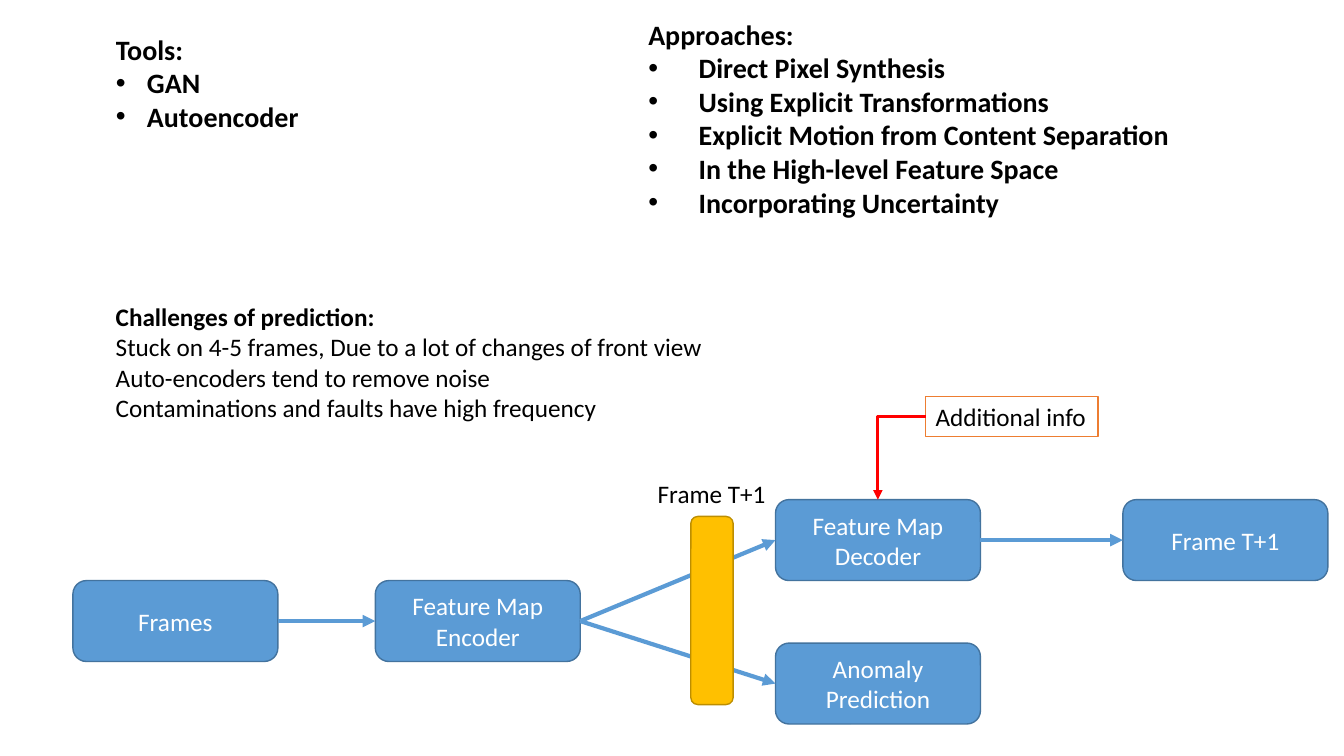
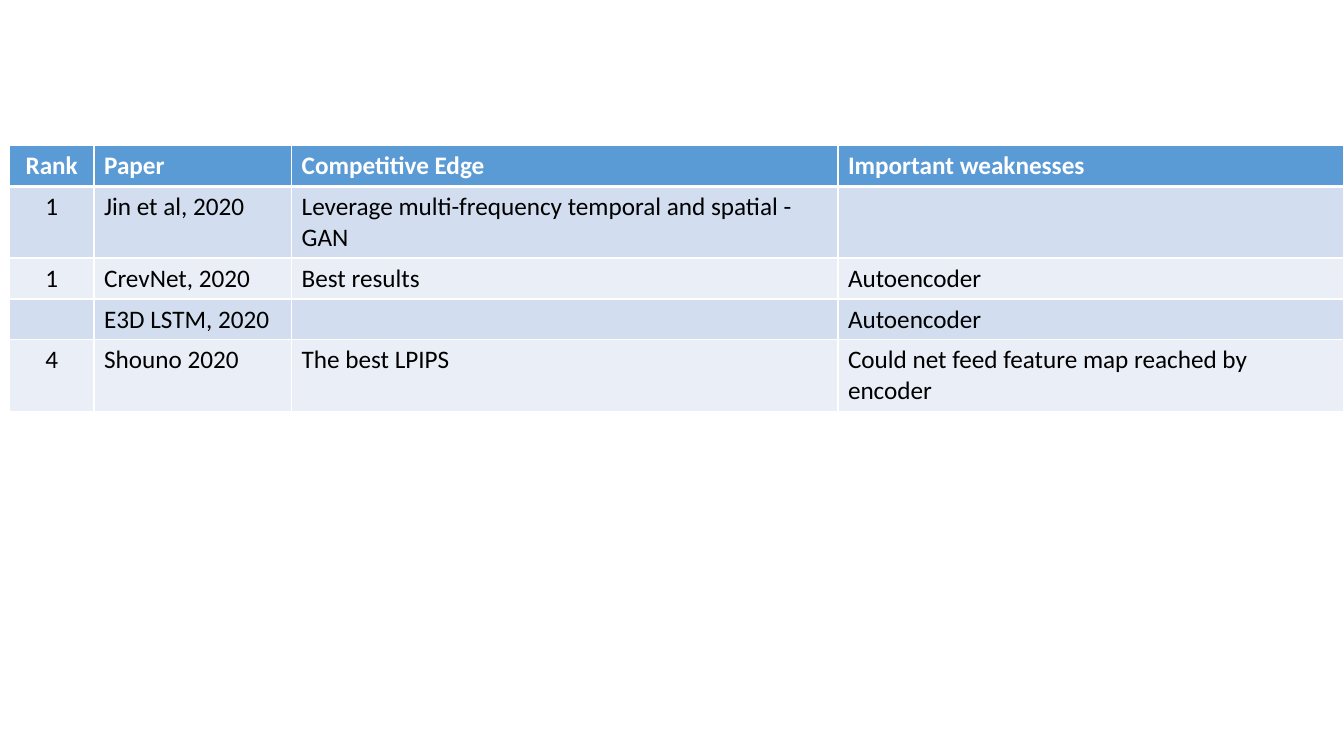
"""Build two slides on frame prediction: a model diagram and a table of papers."""
from dataclasses import dataclass

from lxml.etree import SubElement
from pptx import Presentation
from pptx.dml.color import RGBColor
from pptx.enum.shapes import MSO_CONNECTOR, MSO_SHAPE
from pptx.enum.text import MSO_ANCHOR, PP_ALIGN
from pptx.oxml.ns import qn
from pptx.util import Emu, Inches, Pt

COLS, ROWS = 40, 22.5
TOP, LEFT, RIGHT = 0, 1, 3


@dataclass(frozen=True)
class Theme:
    font: str = "Calibri"
    large: int = 20
    body: int = 18
    ink: str = "000000"
    paper: str = "FFFFFF"
    blue: str = "5B9BD5"
    blue_edge: str = "43739E"
    gold: str = "FFC000"
    gold_edge: str = "BD8E00"
    orange: str = "ED7D31"
    red: str = "FF0000"
    bands: tuple = ("D2DEEF", "EAEFF7")
    edge: float = 1
    link: float = 3
    bend: float = 2.25


class Deck:
    def __init__(self, theme):
        self.t = theme
        self.prs = Presentation()
        self.prs.slide_width, self.prs.slide_height = Inches(13.333), Inches(7.5)
        self.s = None

    def slide(self):
        self.s = self.prs.slides.add_slide(self.prs.slide_layouts[6])

    def grid(self, x, y, w, h):
        dx, dy = self.prs.slide_width / COLS, self.prs.slide_height / ROWS
        return [Emu(round(n * d)) for n, d in zip((x, y, w, h), (dx, dy, dx, dy))]

    def run(self, p, text, size=None, color=None, bold=False, align=None):
        r = p.add_run()
        r.text = text
        p.alignment = align
        fmt = {"name": self.t.font, "size": Pt(size or self.t.body), "bold": bold}
        for key, value in fmt.items():
            setattr(r.font, key, value)
        r.font.color.rgb = RGBColor.from_string(color or self.t.ink)

    def bullet(self, p, indent):
        pPr = p._p.get_or_add_pPr()
        pPr.set("marL", str(Inches(indent)))
        pPr.set("indent", str(-Inches(indent)))
        SubElement(pPr, qn("a:buFont")).set("typeface", "Arial")
        SubElement(pPr, qn("a:buChar")).set("char", "•")

    def text(self, at, lines, size=None, bold=False, indent=0, align=None):
        sp = self.s.shapes.add_textbox(*self.grid(*at))
        tf = sp.text_frame
        tf.word_wrap = False
        for i, line in enumerate(lines):
            p = tf.add_paragraph() if i else tf.paragraphs[0]
            if i and indent:
                self.bullet(p, indent)
            self.run(p, line, size, bold=bold or (i == 0 and len(lines) > 1), align=align)
        return sp

    def paint(self, sp, fill, edge):
        sp.fill.solid()
        sp.fill.fore_color.rgb = RGBColor.from_string(fill)
        sp.line.color.rgb = RGBColor.from_string(edge)
        sp.line.width = Pt(self.t.edge)

    def node(self, at, label="", fill=None, edge=None):
        sp = self.s.shapes.add_shape(MSO_SHAPE.ROUNDED_RECTANGLE, *self.grid(*at))
        sp.shadow.inherit = False
        self.paint(sp, fill or self.t.blue, edge or self.t.blue_edge)
        if label:
            tf = sp.text_frame
            for key, value in {"word_wrap": True, "vertical_anchor": MSO_ANCHOR.MIDDLE}.items():
                setattr(tf, key, value)
            self.run(tf.paragraphs[0], label, color=self.t.paper, align=PP_ALIGN.CENTER)
        return sp

    def arrow(self, start, end, sites=(RIGHT, LEFT), color=None, width=None, bent=False):
        kind = MSO_CONNECTOR.ELBOW if bent else MSO_CONNECTOR.STRAIGHT
        c = self.s.shapes.add_connector(kind, 0, 0, 0, 0)
        c.begin_connect(start, sites[0])
        c.end_connect(end, sites[1])
        c.line.color.rgb = RGBColor.from_string(color or self.t.blue)
        c.line.width = Pt(width or self.t.link)
        spPr = c._element.spPr
        if bent:
            spPr.find(qn("a:prstGeom")).set("prst", "bentConnector2")
        SubElement(spPr.find(qn("a:ln")), qn("a:tailEnd")).set("type", "triangle")
        SubElement(spPr, qn("a:effectLst"))

    def borders(self, cell, widths):
        tcPr = cell._tc.get_or_add_tcPr()
        for side, width in widths.items():
            ln = SubElement(tcPr, qn(f"a:ln{side}"), w=str(Pt(width)))
            SubElement(SubElement(ln, qn("a:solidFill")), qn("a:srgbClr")).set("val", self.t.paper)

    def table(self, x, y, widths, heights, rows):
        at = self.grid(x, y, sum(widths), sum(heights))
        tbl = self.s.shapes.add_table(len(rows), len(widths), *at).table
        for col, w in zip(tbl.columns, widths):
            col.width = self.grid(0, 0, w, 0)[2]
        for row, h in zip(tbl.rows, heights):
            row.height = self.grid(0, 0, 0, h)[3]
        for i, row in enumerate(rows):
            head = i == 0
            fill = self.t.blue if head else self.t.bands[(i - 1) % 2]
            for j, value in enumerate(row):
                cell = tbl.cell(i, j)
                edge = self.t.edge
                self.borders(cell, {"L": edge, "R": edge,
                                    "T": self.t.link if i == 1 else edge,
                                    "B": self.t.link if head else edge})
                cell.fill.solid()
                cell.fill.fore_color.rgb = RGBColor.from_string(fill)
                if value:
                    self.run(cell.text_frame.paragraphs[0], value, bold=head,
                             color=self.t.paper if head else self.t.ink,
                             align=None if j else PP_ALIGN.CENTER)


def diagram(d):
    t = d.t
    d.slide()
    d.text((19, 0.36, 18.18, 6.36),
           ["Approaches:", "Direct Pixel Synthesis", "Using Explicit Transformations",
            "Explicit Motion from Content Separation", "In the High-level Feature Space",
            "Incorporating Uncertainty"], t.large, True, 0.5)
    d.text((3.15, 0.81, 6.75, 3.33), ["Tools:", "GAN", "Autoencoder"], t.large, True, 0.31)
    d.text((3.15, 8.82, 18.27, 3.93),
           ["Challenges of prediction:",
            "Stuck on 4-5 frames, Due to a lot of changes of front view",
            "Auto-encoders tend to remove noise",
            "Contaminations and faults have high frequency"])

    places = {
        "Frames": (2.17, 17.28),
        "Feature Map Encoder": (11.17, 17.28),
        "Feature Map Decoder": (23.08, 14.87),
        "Anomaly Prediction": (23.08, 19.14),
        "Frame T+1": (33.42, 14.87),
    }
    frames, encoder, decoder, anomaly, result = [
        d.node((x, y, 6.1, 2.41), label) for label, (x, y) in places.items()]
    for start, end in ((frames, encoder), (encoder, decoder), (encoder, anomaly),
                       (decoder, result)):
        d.arrow(start, end)

    info = d.text((27.55, 11.8, 5.13, 1.2), ["Additional info"])
    d.paint(info, t.paper, t.orange)
    d.arrow(info, decoder, (LEFT, TOP), t.red, t.bend, bent=True)
    d.node((20.56, 15.37, 1.26, 5.6), fill=t.gold, edge=t.gold_edge)
    d.text((19.26, 14.1, 3.84, 1.2), ["Frame T+1"], align=PP_ALIGN.CENTER)


def papers(d):
    d.slide()
    d.table(0.28, 4.33, (2.52, 5.88, 16.26, 15.06), (1.22, 1.22, 1.22, 1.14, 1.22), [
        ("Rank", "Paper", "Competitive Edge", "Important weaknesses"),
        ("1", "Jin et al, 2020", "Leverage multi-frequency temporal and spatial - GAN", ""),
        ("1", "CrevNet, 2020", "Best results", "Autoencoder"),
        ("", "E3D LSTM, 2020", "", "Autoencoder"),
        ("4", "Shouno 2020", "The best LPIPS", "Could net feed feature map reached by encoder"),
    ])


def main():
    d = Deck(Theme())
    diagram(d)
    papers(d)
    d.prs.save("out.pptx")


if __name__ == "__main__":
    main()
